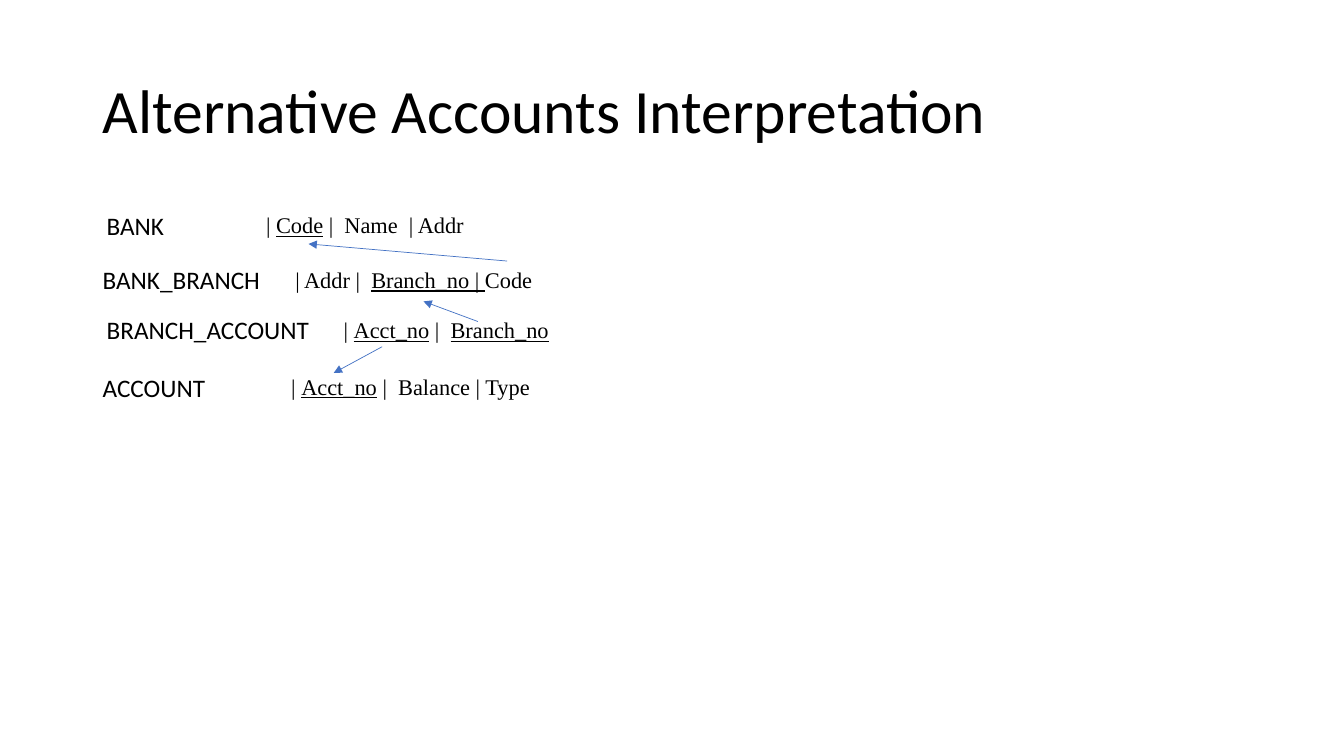
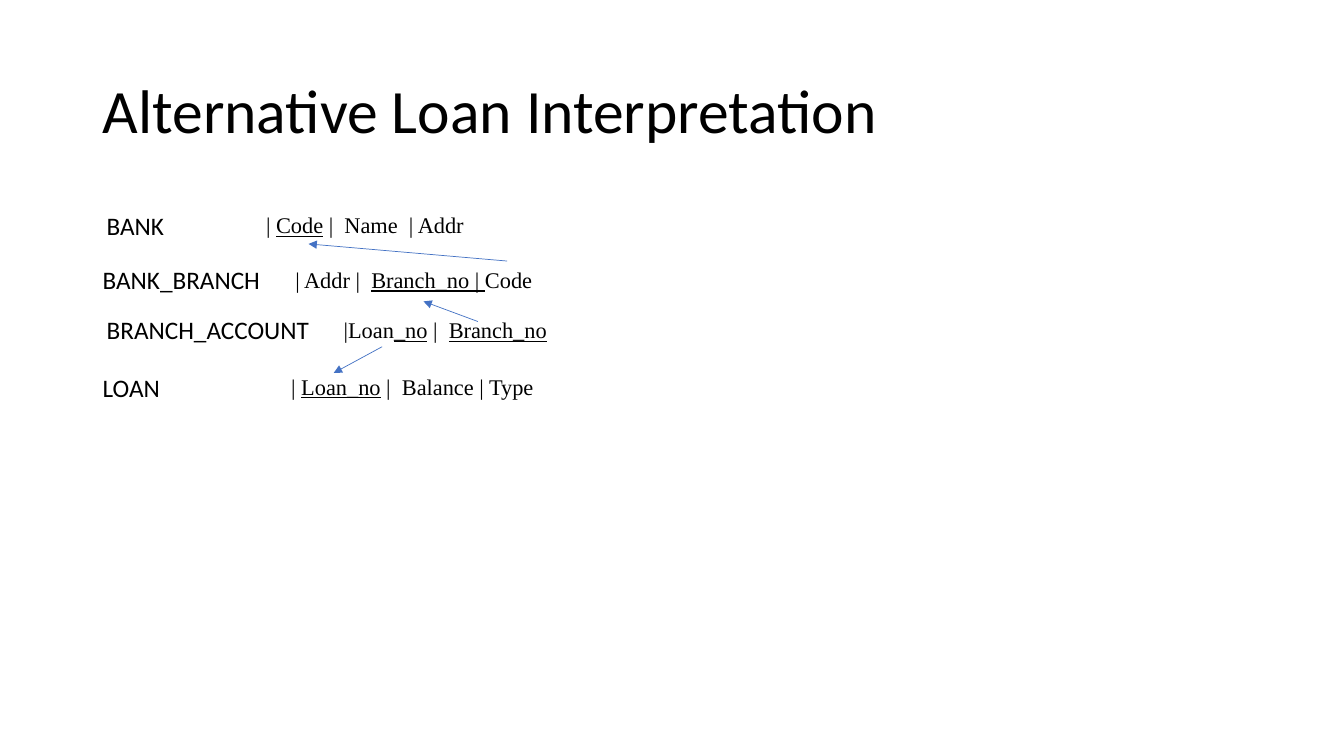
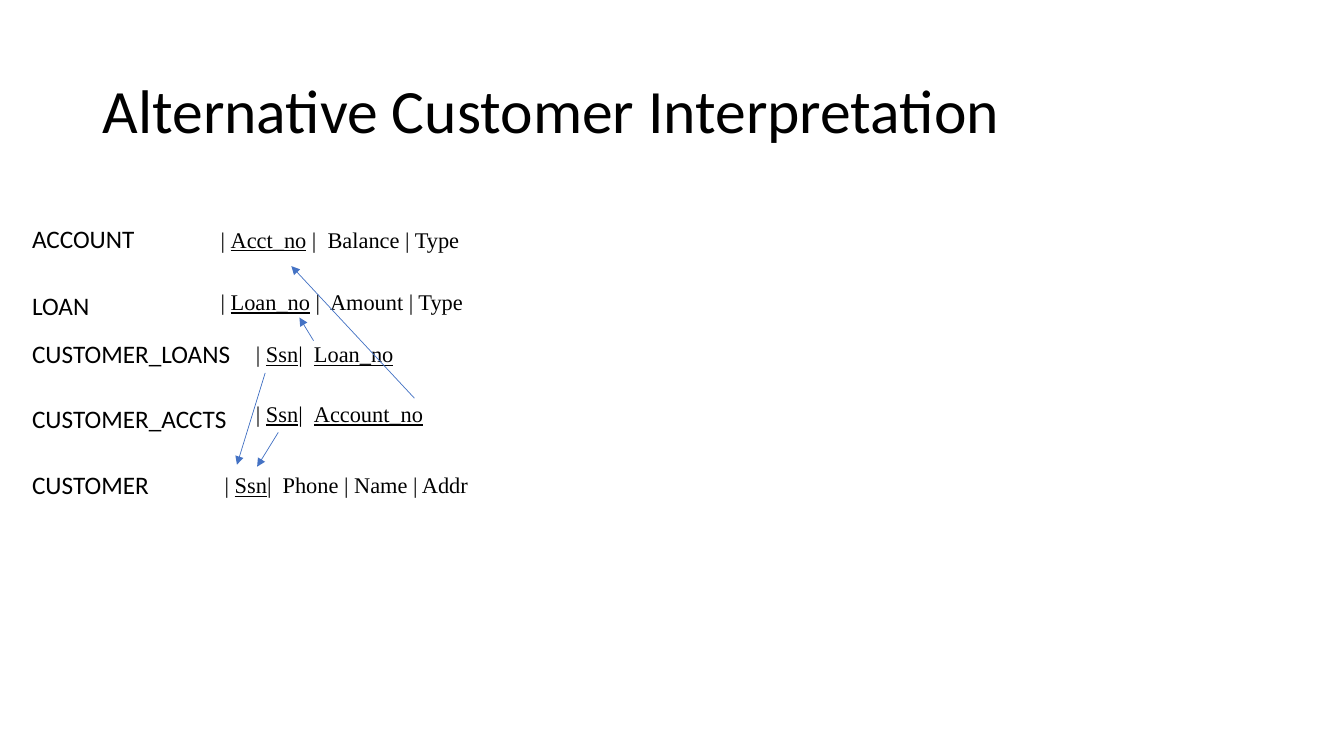
import pptx
import pptx.util
import pptx.dml.color
import pptx.enum.shapes
import pptx.enum.text
import pptx.oxml.ns
import lxml.etree

Inches = pptx.util.Inches
COLORS = {"text": "000000", "arrow": "4472C4"}
SANS, SERIF = "Calibri", "Times New Roman"

deck = pptx.Presentation()
deck.slide_width, deck.slide_height = Inches(13.33), Inches(7.5)


def add_text(slide, box, text, font, size, wrap=True):
    """Add one line of text; parts between asterisks are underlined."""
    shape = slide.shapes.add_textbox(*[Inches(n) for n in box])
    frame = shape.text_frame
    frame.word_wrap = wrap
    frame.auto_size = pptx.enum.text.MSO_AUTO_SIZE.SHAPE_TO_FIT_TEXT
    line = frame.paragraphs[0]
    line.font.name, line.font.size = font, pptx.util.Pt(size)
    line.font.color.rgb = pptx.dml.color.RGBColor.from_string(COLORS["text"])
    for i, part in enumerate(text.split("*")):
        if part:
            run = line.add_run()
            run.text = part
            if i % 2:
                run.font.underline = True
    return frame


def add_arrow(slide, start, end):
    """Add a thin line with an arrowhead at its end."""
    points = [Inches(n) for n in start + end]
    arrow = slide.shapes.add_connector(
        pptx.enum.shapes.MSO_CONNECTOR.STRAIGHT, *points)
    arrow.line.width = pptx.util.Pt(0.5)
    arrow.line.color.rgb = pptx.dml.color.RGBColor.from_string(COLORS["arrow"])
    qn = pptx.oxml.ns.qn
    props = arrow._element.spPr
    lxml.etree.SubElement(props.find(qn("a:ln")), qn("a:tailEnd"), type="triangle")
    lxml.etree.SubElement(props, qn("a:effectLst"))


# Rows: table name, its left and top; fields, their left, top and width
bank_rows = [
    ("BANK", 0.96, 2.04, "| *Code* |  Name  | Addr", 2.54, 2.05, 2.19),
    ("BANK_BRANCH", 0.92, 2.57, "| Addr |  *Branch_no | *Code", 2.83, 2.59, 2.58),
]
acct_rows = [
    ("BRANCH_ACCOUNT", 0.96, 3.07, "| *Acct_no* |  *Branch_no*", 3.31, 3.09, 2.25),
    ("ACCOUNT", 0.92, 3.64, "| *Acct_no* |  Balance | Type", 2.79, 3.65, 2.59),
]
loan_rows = [
    ("BRANCH_ACCOUNT", 0.96, 3.07, "|Loan*_no* |  *Branch_no*", 3.31, 3.09, 2.24),
    ("LOAN", 0.92, 3.64, "| *Loan_no* |  Balance | Type", 2.79, 3.65, 2.64),
]
client_rows = [
    ("ACCOUNT", 0.22, 2.17, "| *Acct_no* |  Balance | Type", 2.09, 2.19, 2.59),
    ("LOAN", 0.22, 2.83, "| *Loan_no* |  Amount | Type", 2.09, 2.81, 2.64),
    ("CUSTOMER_LOANS", 0.22, 3.31, "| *Ssn*|  *Loan_no*", 2.44, 3.33, 1.58),
    ("CUSTOMER_ACCTS", 0.22, 3.95, "| *Ssn*|  *Account_no*", 2.44, 3.92, 1.87),
    ("CUSTOMER", 0.22, 4.61, "| *Ssn*|  Phone | Name | Addr", 2.13, 4.63, 2.81),
]

# Arrows from foreign key to key
bank_links = [
    ((5.03, 2.59), (3.06, 2.42)),
    ((4.74, 3.19), (4.2, 2.99)),
    ((3.79, 3.44), (3.31, 3.7)),
]
client_links = [
    ((2.63, 3.7), (2.35, 4.61)),
    ((2.76, 4.29), (2.55, 4.63)),
    ((3.11, 3.38), (2.97, 3.15)),
    ((4.11, 3.95), (2.89, 2.64)),
]

pages = [
    ("Accounts", bank_rows + acct_rows, bank_links),
    ("Loan", bank_rows + loan_rows, bank_links),
    ("Customer", client_rows, client_links),
]

for topic, rows, links in pages:
    slide = deck.slides.add_slide(deck.slide_layouts[6])

    # Title
    title = add_text(slide, (0.92, 0.4, 11.5, 1.45),
                     f"Alternative {topic} Interpretation", SANS, 44)
    title.auto_size = pptx.enum.text.MSO_AUTO_SIZE.NONE
    title.vertical_anchor = pptx.enum.text.MSO_ANCHOR.MIDDLE
    title.paragraphs[0].line_spacing = 0.9

    # Tables and their fields
    for name, left, top, fields, field_left, field_top, width in rows:
        add_text(slide, (left, top, 2.67, 0.4), name, SANS, 18)
        add_text(slide, (field_left, field_top, width, 0.37), fields,
                 SERIF, 16, wrap=False)

    for start, end in links:
        add_arrow(slide, start, end)

deck.save("out.pptx")
